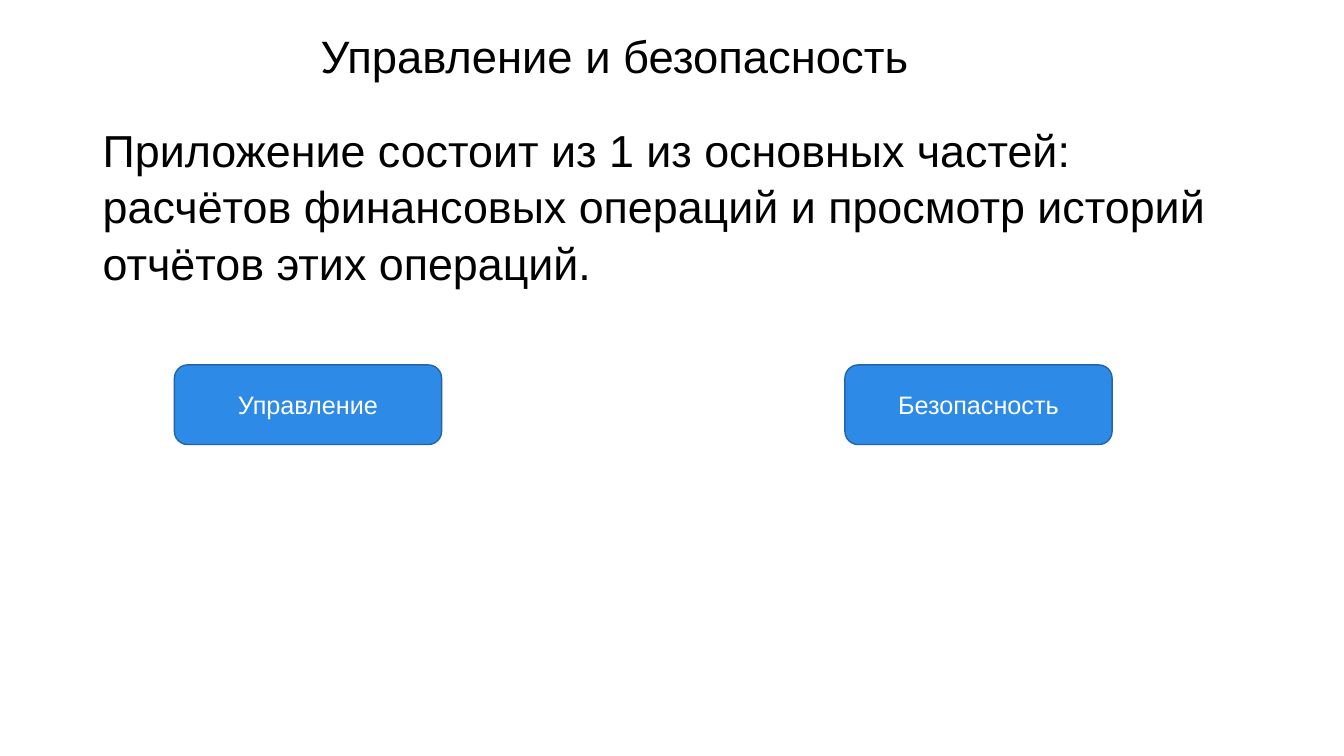
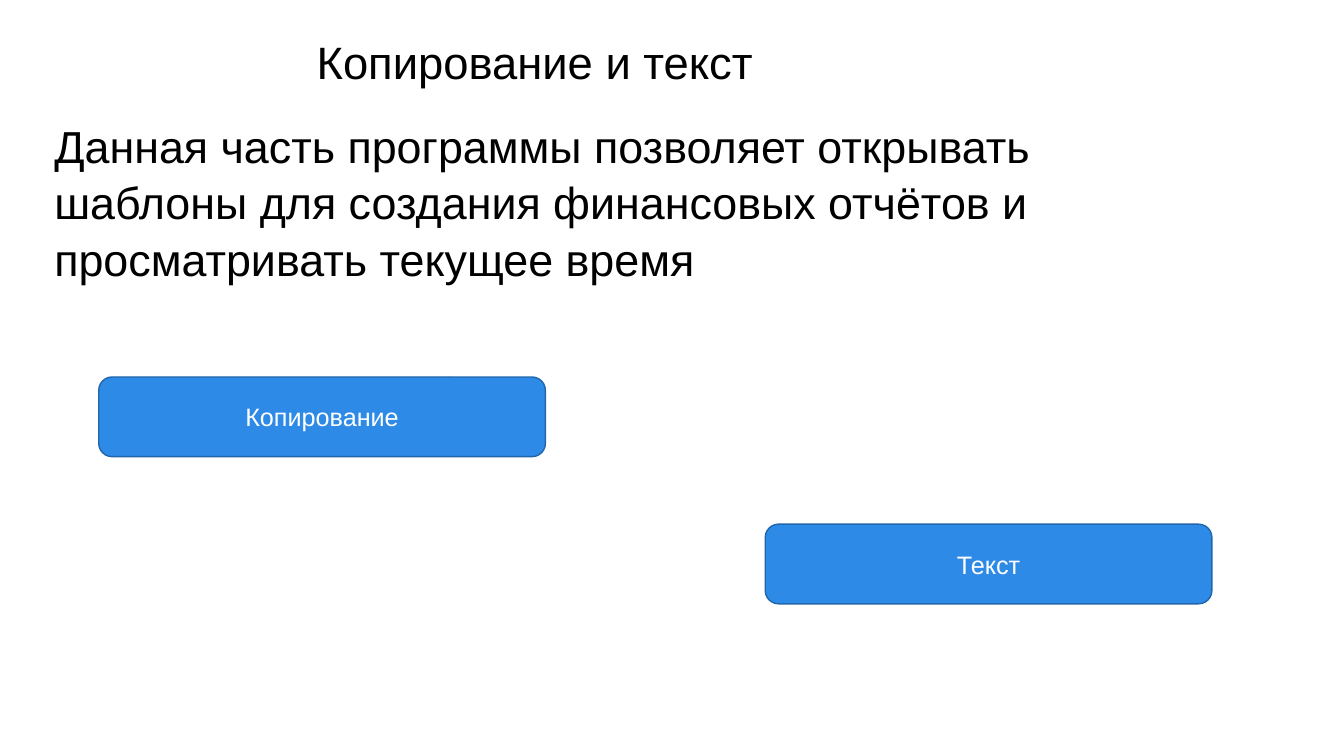
from pptx import Presentation
from pptx.dml.color import RGBColor
from pptx.enum.shapes import MSO_SHAPE
from pptx.enum.text import MSO_ANCHOR, PP_ALIGN
from pptx.util import Inches, Pt

ROUNDED = MSO_SHAPE.ROUNDED_RECTANGLE
MIDDLE, TOP = MSO_ANCHOR.MIDDLE, MSO_ANCHOR.TOP
LEFT, CENTER = PP_ALIGN.LEFT, PP_ALIGN.CENTER

BLACK = RGBColor(0x00, 0x00, 0x00)
WHITE = RGBColor(0xFF, 0xFF, 0xFF)
BLUE = RGBColor(0x2D, 0x8A, 0xE7)
DARK_BLUE = RGBColor(0x21, 0x66, 0xAB)
FONT = "Arial"
BUTTON_HEIGHT = 0.79
TITLE_ONLY = 5


def set_text(sp, text, size, color=BLACK, align=LEFT, anchor=TOP, spacing=1.0):
    tf = sp.text_frame
    tf.word_wrap = True
    tf.vertical_anchor = anchor
    p = tf.paragraphs[0]
    p.alignment = align
    p.line_spacing = spacing
    r = p.add_run()
    r.text = text
    r.font.name = FONT
    r.font.size = Pt(size)
    r.font.color.rgb = color


def add_title(s, text, left, top):
    sp = s.shapes.title
    sp.left, sp.top = Inches(left), Inches(top)
    sp.width, sp.height = Inches(10), Inches(0.64)
    set_text(sp, text, 32.4, anchor=MIDDLE)


def add_body(s, text, left, top, width, height):
    sp = s.shapes.add_textbox(Inches(left), Inches(top), Inches(width), Inches(height))
    set_text(sp, text, 32, spacing=1.05)


def add_button(s, text, left, top, width):
    sp = s.shapes.add_shape(ROUNDED, Inches(left), Inches(top),
                            Inches(width), Inches(BUTTON_HEIGHT))
    sp.shadow.inherit = False
    sp.fill.solid()
    sp.fill.fore_color.rgb = BLUE
    sp.line.color.rgb = DARK_BLUE
    sp.line.width = Pt(1)
    set_text(sp, text, 18, color=WHITE, align=CENTER, anchor=MIDDLE)


def add_slide(prs, title, body, buttons):
    s = prs.slides.add_slide(prs.slide_layouts[TITLE_ONLY])
    add_title(s, *title)
    add_body(s, *body)
    for button in buttons:
        add_button(s, *button)


def main():
    prs = Presentation()
    prs.slide_width, prs.slide_height = Inches(13.33), Inches(7.5)
    add_slide(
        prs,
        ("Управление и безопасность", 3.08, 0.23),
        ("Приложение состоит из 1 из основных частей: расчётов финансовых "
         "операций и просмотр историй отчётов этих операций.",
         0.92, 1.14, 11.49, 2.21),
        [("Управление", 1.73, 3.62, 2.65), ("Безопасность", 8.38, 3.62, 2.65)],
    )
    add_slide(
        prs,
        ("Копирование и текст", 3.04, 0.29),
        ("Данная часть программы позволяет открывать шаблоны для создания "
         "финансовых отчётов и просматривать текущее время",
         0.44, 1.1, 10.38, 1.66),
        [("Копирование", 0.98, 3.74, 4.43), ("Текст", 7.59, 5.2, 4.43)],
    )
    prs.save("out.pptx")


if __name__ == "__main__":
    main()
